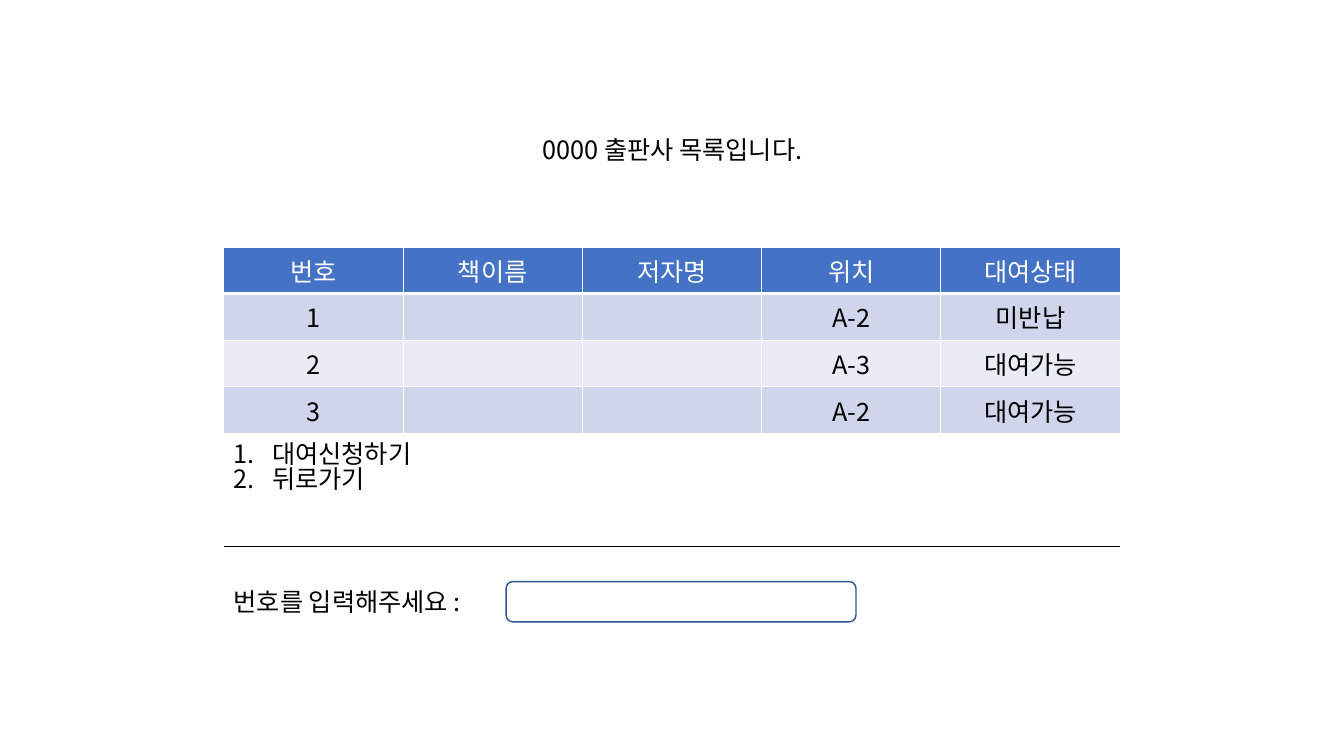
from lxml import etree
from pptx import Presentation
from pptx.dml.color import RGBColor
from pptx.enum.shapes import MSO_CONNECTOR, MSO_SHAPE
from pptx.enum.text import MSO_ANCHOR, MSO_AUTO_SIZE, PP_ALIGN
from pptx.oxml.ns import qn
from pptx.util import Inches, Pt

CENTER, LEFT = PP_ALIGN.CENTER, PP_ALIGN.LEFT
TOP, MIDDLE = MSO_ANCHOR.TOP, MSO_ANCHOR.MIDDLE
NO_AUTOFIT = MSO_AUTO_SIZE.NONE
STRAIGHT = MSO_CONNECTOR.STRAIGHT
ROUNDED = MSO_SHAPE.ROUNDED_RECTANGLE

BLACK = RGBColor(0x00, 0x00, 0x00)
WHITE = RGBColor(0xFF, 0xFF, 0xFF)
HEADER_BLUE = RGBColor(0x44, 0x72, 0xC4)
BAND_DARK = RGBColor(0xCF, 0xD5, 0xEA)
BAND_LIGHT = RGBColor(0xE9, 0xEB, 0xF5)
FIELD_BLUE = RGBColor(0x32, 0x54, 0x91)

FONT = "Noto Sans CJK KR"
LEFT_EDGE, CONTENT_WIDTH = 2.22, 8.89

BOOK_ROWS = [
    ["번호", "책이름", "저자명", "위치", "대여상태"],
    ["1", "", "", "A-2", "미반납"],
    ["2", "", "", "A-3", "대여가능"],
    ["3", "", "", "A-2", "대여가능"],
]
MENU = ["대여신청하기", "뒤로가기"]


def write(para, text, color=BLACK, align=LEFT):
    """Add one run, with the font set for Latin and Korean letters alike."""
    para.alignment = align
    if not text:
        return
    span = para.add_run()
    span.text = text
    formats = {"name": FONT, "size": Pt(18), "bold": False}
    for name, value in formats.items():
        setattr(span.font, name, value)
    span.font.color.rgb = color
    etree.SubElement(span.font._element, qn("a:ea"), typeface=FONT)


def place(shape, left, top, width, height):
    box = {"left": left, "top": top, "width": width, "height": height}
    for name, value in box.items():
        setattr(shape, name, Inches(value))


def set_frame(frame, anchor, wrap=True):
    formats = {"auto_size": NO_AUTOFIT, "vertical_anchor": anchor, "word_wrap": wrap}
    for name, value in formats.items():
        setattr(frame, name, value)


def add_heading(page, left, top, width, height):
    title = page.shapes.title
    place(title, left, top, width, height)
    set_frame(title.text_frame, MIDDLE)
    write(title.text_frame.paragraphs[0], "0000 출판사 목록입니다.", align=CENTER)


def set_borders(cell, bottom_points):
    properties = cell._tc.get_or_add_tcPr()
    widths = {"a:lnL": 1, "a:lnR": 1, "a:lnT": 1, "a:lnB": bottom_points}
    for tag, points in widths.items():
        line = etree.SubElement(properties, qn(tag), w=str(Pt(points)))
        fill = etree.SubElement(line, qn("a:solidFill"))
        etree.SubElement(fill, qn("a:srgbClr"), val=str(WHITE))


def add_book_table(page, left, top, width, row_height):
    row_count, column_count = len(BOOK_ROWS), len(BOOK_ROWS[0])
    table = page.shapes.add_table(
        row_count, column_count, Inches(left), Inches(top),
        Inches(width), Inches(row_height * row_count),
    ).table
    for row_index, texts in enumerate(BOOK_ROWS):
        is_header = row_index == 0
        band = BAND_DARK if row_index % 2 else BAND_LIGHT
        for column_index, text in enumerate(texts):
            cell = table.cell(row_index, column_index)
            set_borders(cell, 3 if is_header else 1)
            cell.fill.solid()
            cell.fill.fore_color.rgb = HEADER_BLUE if is_header else band
            write(cell.text_frame.paragraphs[0], text,
                  WHITE if is_header else BLACK, CENTER)


def add_menu(page, left, top, width, height):
    body = page.placeholders[1]
    place(body, left, top, width, height)
    frame = body.text_frame
    set_frame(frame, TOP)
    for index, text in enumerate(MENU):
        para = frame.add_paragraph() if index else frame.paragraphs[0]
        para.space_before = Pt(0)
        para.line_spacing = 0.82
        properties = para._p.get_or_add_pPr()
        properties.set("marL", str(Inches(0.38)))
        properties.set("indent", str(Inches(-0.38)))
        etree.SubElement(properties, qn("a:buFont"), typeface=FONT)
        etree.SubElement(properties, qn("a:buAutoNum"), type="arabicPeriod")
        write(para, text)


def add_divider(page, left, top, width):
    line = page.shapes.add_connector(
        STRAIGHT, Inches(left), Inches(top), Inches(left + width), Inches(top))
    line.line.color.rgb = BLACK
    line.line.width = Pt(0.5)
    etree.SubElement(line._element.spPr, qn("a:effectLst"))


def add_number_prompt(page, left, top, height):
    label_width, field_width = 2.8, 3.47
    label = page.shapes.add_textbox(
        Inches(left), Inches(top), Inches(label_width), Inches(height))
    set_frame(label.text_frame, MIDDLE, wrap=False)
    write(label.text_frame.paragraphs[0], "번호를 입력해주세요 :")
    field = page.shapes.add_shape(
        ROUNDED, Inches(left + label_width), Inches(top),
        Inches(field_width), Inches(height))
    field.shadow.inherit = False
    field.fill.solid()
    field.fill.fore_color.rgb = WHITE
    field.line.color.rgb = FIELD_BLUE
    field.line.width = Pt(1)


def main():
    deck = Presentation()
    deck.slide_width, deck.slide_height = Inches(13.33), Inches(7.5)
    page = deck.slides.add_slide(deck.slide_layouts[1])
    add_book_table(page, LEFT_EDGE, 2.45, CONTENT_WIDTH, 0.41)
    add_heading(page, 5.05, 1.28, 3.24, 0.4)
    add_menu(page, LEFT_EDGE, 4.35, 2.34, 0.71)
    add_divider(page, LEFT_EDGE, 5.42, CONTENT_WIDTH)
    add_number_prompt(page, LEFT_EDGE, 5.77, 0.4)
    deck.save("out.pptx")


if __name__ == "__main__":
    main()
